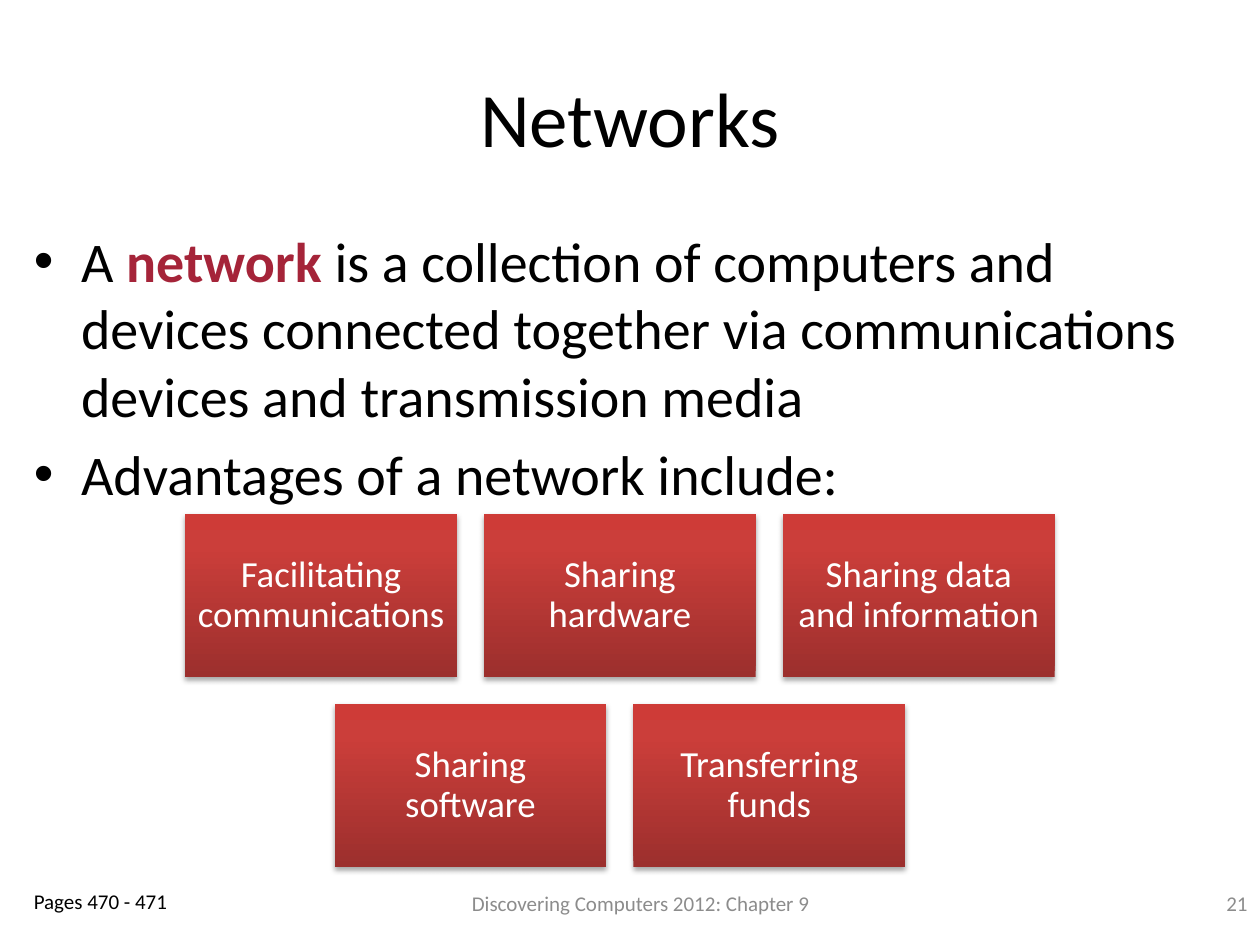
import copy

import lxml.etree
import pptx
import pptx.dml.color
import pptx.enum.shapes
import pptx.enum.text
import pptx.oxml.ns
import pptx.util

CELL = pptx.util.Inches(0.1)
COLUMNS, ROWS = 100, 75
ALIGN = pptx.enum.text.PP_ALIGN
ANCHOR = pptx.enum.text.MSO_ANCHOR
BLACK, GREY, WHITE, CRIMSON = "000000", "8C8C8C", "FFFFFF", "A52439"
TILE_GRADIENT = [(0, "9C2F2D"), (0.8, "CB3E3A"), (1, "CE3B37")]
ADVANTAGE_ROWS = [
    ["Facilitating communications", "Sharing hardware", "Sharing data and information"],
    ["Sharing software", "Transferring funds"],
]
DEFINITION = [
    [
        ("A ", BLACK, False),
        ("network", CRIMSON, True),
        (" is a collection of computers and devices connected together "
         "via communications devices and transmission media", BLACK, False),
    ],
    [("Advantages of a network include:", BLACK, False)],
]


def rgb(code):
    return pptx.dml.color.RGBColor.from_string(code)


def grid(*cells):
    return [round(cell * CELL) for cell in cells]


def apply(target, formats):
    for key, value in formats.items():
        setattr(target, key, value)


def add_child(parent, tag, **attributes):
    return lxml.etree.SubElement(parent, pptx.oxml.ns.qn(tag), attributes)


def style_font(font, size, color, bold=False):
    apply(font, {"name": "Calibri", "size": pptx.util.Pt(size), "bold": bold})
    font.color.rgb = rgb(color)


def text_frame(slide, box, anchor=ANCHOR.TOP):
    frame = slide.shapes.add_textbox(*grid(*box)).text_frame
    apply(frame, {"word_wrap": True, "vertical_anchor": anchor})
    return frame


def label(slide, box, text, size, color, align, anchor=ANCHOR.MIDDLE):
    line = text_frame(slide, box, anchor).paragraphs[0]
    apply(line, {"text": text, "alignment": align})
    style_font(line.font, size, color)


def definition(slide, box, points):
    frame = text_frame(slide, box)
    hang = round(3.75 * CELL)
    for index, parts in enumerate(points):
        point = frame.add_paragraph() if index else frame.paragraphs[0]
        properties = point._p.get_or_add_pPr()
        apply_indent = {"marL": hang, "indent": -hang}
        for key, value in apply_indent.items():
            properties.set(key, str(value))
        add_child(properties, "a:buFont", typeface="Arial")
        add_child(properties, "a:buChar", char="•")
        if index:
            point.space_before = pptx.util.Pt(6.4)
        for text, color, bold in parts:
            run = point.add_run()
            run.text = text
            style_font(run.font, 32, color, bold)


def shade(tile):
    tile.fill.gradient()
    tile.fill.gradient_angle = 90
    first = tile._element.spPr.find(".//" + pptx.oxml.ns.qn("a:gs"))
    first.addnext(copy.deepcopy(first))
    for stop, (position, color) in zip(tile.fill.gradient_stops, TILE_GRADIENT):
        stop.position = position
        stop.color.rgb = rgb(color)
    tile.line.fill.background()
    tile.shadow.inherit = False
    effects = tile._element.spPr.find(pptx.oxml.ns.qn("a:effectLst"))
    shadow = add_child(
        effects, "a:outerShdw", blurRad=str(pptx.util.Pt(3.1)),
        dist=str(pptx.util.Pt(1.8)), dir="5400000", rotWithShape="0")
    add_child(add_child(shadow, "a:srgbClr", val=BLACK), "a:alpha", val="35000")


def advantage(slide, box, text):
    tile = slide.shapes.add_shape(
        pptx.enum.shapes.MSO_SHAPE.RECTANGLE, *grid(*box))
    shade(tile)
    inset = round(0.9 * CELL)
    frame = tile.text_frame
    apply(frame, {
        "word_wrap": True, "vertical_anchor": ANCHOR.MIDDLE,
        "margin_left": inset, "margin_right": inset,
        "margin_top": inset, "margin_bottom": inset})
    line = frame.paragraphs[0]
    apply(line, {"text": text, "alignment": ALIGN.CENTER, "line_spacing": 0.9})
    style_font(line.font, 21, WHITE)


def advantages(slide, box, rows, gap=2.15):
    left, top, width, height = box
    most = max(len(row) for row in rows)
    tile_width = (width - gap * (most - 1)) / most
    tile_height = (height - gap * (len(rows) - 1)) / len(rows)
    for row_index, row in enumerate(rows):
        start = left + (most - len(row)) * (tile_width + gap) / 2
        for column, text in enumerate(row):
            advantage(slide, (
                start + column * (tile_width + gap),
                top + row_index * (tile_height + gap),
                tile_width, tile_height), text)


def footer(slide, box):
    left, top, width, height = box
    label(slide, (left + 30, top + 0.9, 41.7, 5),
          "Discovering Computers 2012: Chapter 9", 12, GREY, ALIGN.CENTER)
    label(slide, (left + width - 6.7, top, 6.7, height),
          "21", 12, GREY, ALIGN.RIGHT)
    label(slide, (left + 1.7, top + 1.7, 18.3, 5),
          "Pages 470 - 471", 12, BLACK, ALIGN.LEFT, ANCHOR.TOP)


def main():
    deck = pptx.Presentation()
    apply(deck, {"slide_width": COLUMNS * CELL, "slide_height": ROWS * CELL})
    slide = deck.slides.add_slide(deck.slide_layouts[6])
    label(slide, (5, 3, 90, 12.5), "Networks", 44, BLACK, ALIGN.CENTER)
    definition(slide, (1.7, 17.5, 96.7, 50.8), DEFINITION)
    footer(slide, (0, 68.3, COLUMNS, 6.7))
    advantages(slide, (14.7, 40.8, 69, 28), ADVANTAGE_ROWS)
    deck.save("out.pptx")


if __name__ == "__main__":
    main()
